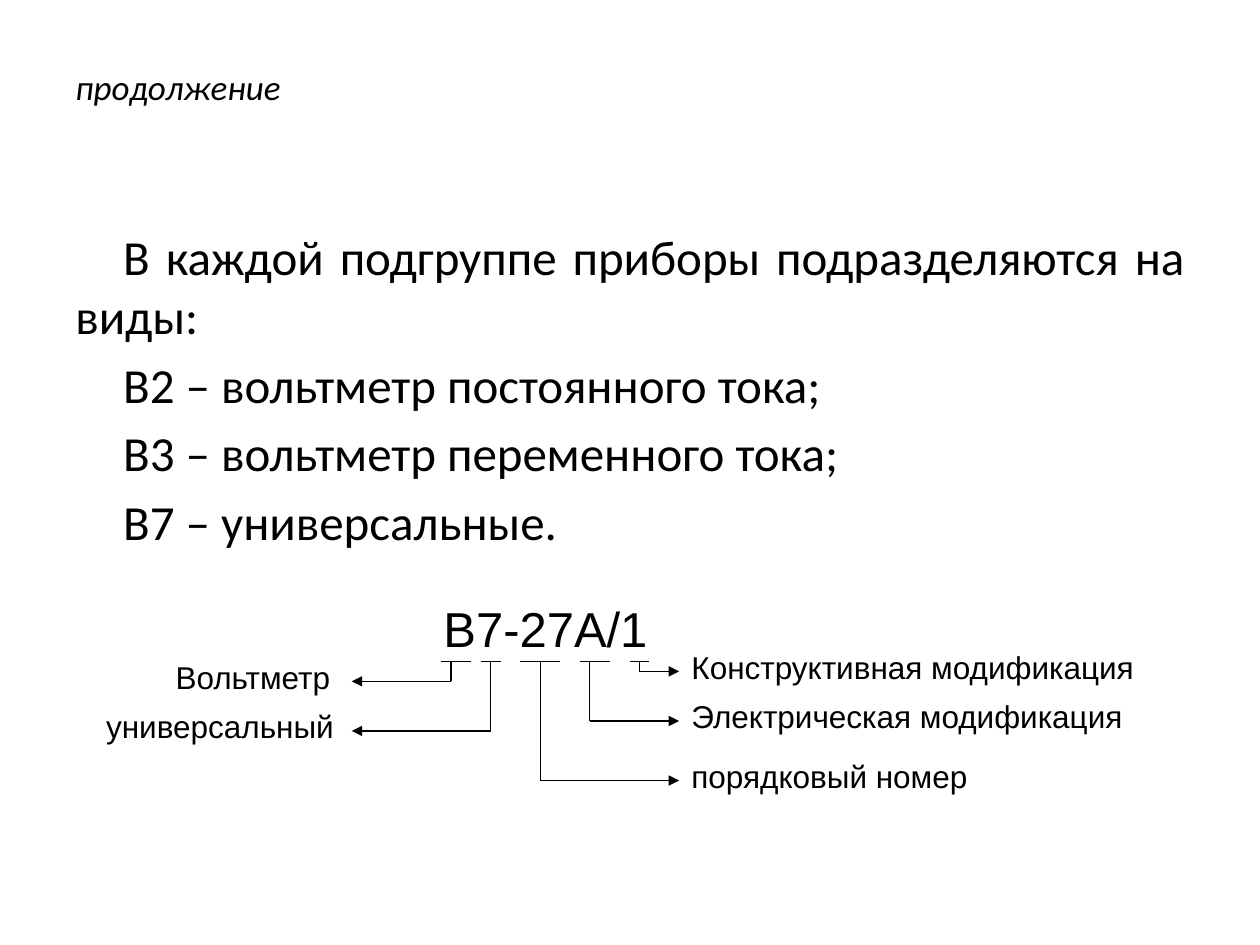
from lxml import etree
from pptx import Presentation, util as u
from pptx.dml.color import RGBColor
from pptx.enum import shapes, text
from pptx.oxml.ns import qn

THEME = {
    "ink": RGBColor(0, 0, 0), "head": "Calibri", "mark": "Arial",
    "title": 20, "body": 28, "code": 28, "label": 18, "line": 0.75,
}

deck = Presentation()
deck.slide_width, deck.slide_height = u.Inches(10), u.Inches(7.5)
slide = deck.slides.add_slide(deck.slide_layouts[6])

# Diagram grid: square cells, starting at the bar under the first letter
STEP, LEFT, TOP = u.Mm(2), u.Inches(3.5), u.Inches(5.25)


def write(box, words, font, size):
    """Add a text box at box (left, top, width, height) and return its frame."""
    frame = slide.shapes.add_textbox(*map(int, box)).text_frame
    frame.word_wrap = True
    frame.text = words
    for para in frame.paragraphs:
        for run in para.runs:
            run.font.name, run.font.size = font, u.Pt(size)
            run.font.color.rgb = THEME["ink"]
    return frame


def rule(start, end, arrow=False):
    """Draw a line between two (column, row) points of the diagram grid."""
    ends = [edge + cell * STEP for point in (start, end)
            for edge, cell in zip((LEFT, TOP), point)]
    link = slide.shapes.add_connector(shapes.MSO_CONNECTOR.STRAIGHT, *ends)
    link.line.color.rgb = THEME["ink"]
    link.line.width = u.Pt(THEME["line"])
    if arrow:
        tail = etree.SubElement(link.line._get_or_add_ln(), qn("a:tailEnd"))
        tail.set("type", "triangle")
    etree.SubElement(link._element.spPr, qn("a:effectLst"))


wide, high = deck.slide_width, deck.slide_height
edge, span = wide * 0.05, wide * 0.9

title = write((edge, high * 0.04, span, u.Inches(0.77)),
              "продолжение", THEME["head"], THEME["title"])
title.vertical_anchor = text.MSO_ANCHOR.MIDDLE
title.paragraphs[0].runs[0].font.italic = True

kinds = [
    "В каждой подгруппе приборы подразделяются на виды:",
    "В2 – вольтметр постоянного тока;",
    "В3 – вольтметр переменного тока;",
    "В7 – универсальные.",
]
body = write((edge, u.Inches(1.75), span, high * 0.66),
             "\n".join(kinds), THEME["head"], THEME["body"])
for para in body.paragraphs:
    para.alignment = text.PP_ALIGN.JUSTIFY
    para.space_before = u.Pt(THEME["body"] * 0.2)
    para._p.get_or_add_pPr().set("indent", str(u.Inches(0.38)))

write((LEFT - STEP, TOP - 7 * STEP, 25 * STEP, 7 * STEP),
      "В7-27А/1", THEME["mark"], THEME["code"])

# Bar start, bar end, stem, arrow row, arrow end, label, label column, label width
parts = [
    (0, 3, 1, 2, -9, "Вольтметр", -28, 19),
    (4, 6, 5, 7, -9, "универсальный", -35, 27),
    (8, 12, 10, 12, 24, "порядковый номер", 24, 36),
    (14, 17, 15, 6, 24, "Электрическая модификация", 24, 48),
    (19, 21, 20, 1, 24, "Конструктивная модификация", 24, 49),
]
for first, last, stem, row, tip, name, col, size in parts:
    rule((first, 0), (last, 0))
    rule((stem, 0), (stem, row))
    rule((stem, row), (tip, row), arrow=True)
    write((LEFT + col * STEP, TOP + (row - 3) * STEP, size * STEP, 5 * STEP),
          name, THEME["mark"], THEME["label"])

deck.save("out.pptx")
